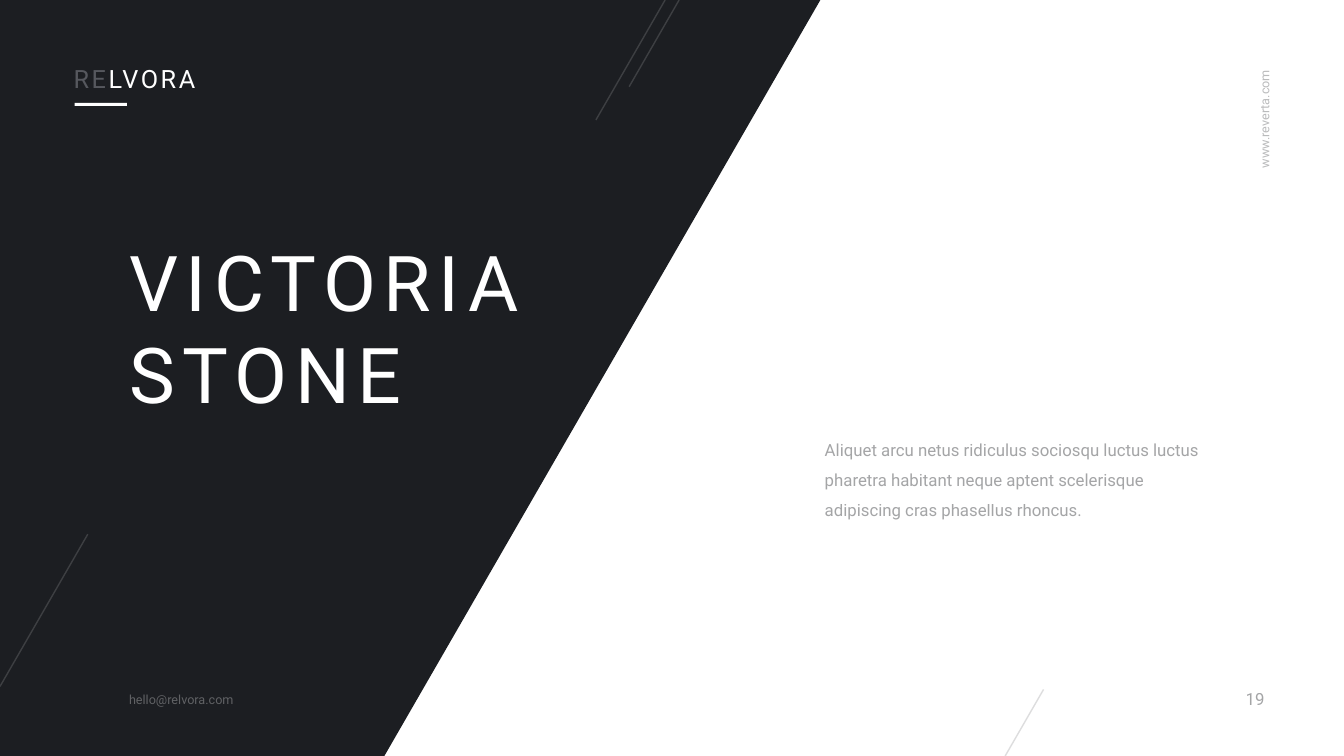
from lxml import etree
from pptx import Presentation
from pptx.dml.color import RGBColor
from pptx.enum.shapes import MSO_CONNECTOR, MSO_SHAPE
from pptx.enum.text import MSO_ANCHOR, MSO_AUTO_SIZE, PP_ALIGN
from pptx.oxml.ns import qn
from pptx.util import Inches, Pt

LEFT, RIGHT = PP_ALIGN.LEFT, PP_ALIGN.RIGHT
TOP, MIDDLE, BOTTOM = MSO_ANCHOR.TOP, MSO_ANCHOR.MIDDLE, MSO_ANCHOR.BOTTOM
FIXED = MSO_AUTO_SIZE.NONE
STRAIGHT = MSO_CONNECTOR.STRAIGHT
RECT = MSO_SHAPE.RECTANGLE

WIDTH, HEIGHT = Inches(13.33), Inches(7.5)
COLORS = {"ink": "1C1E22", "white": "FFFFFF", "gray": "56585E"}
FONT = "Roboto"
FOOT, HEAD = 28.6, 61.04
SLOPE = (HEAD - FOOT) / 100


class Page:
    def __init__(self, slide):
        self.slide = slide
        self.shapes = slide.shapes

    def grid(self, x, y):
        return round(WIDTH * x / 100), round(HEIGHT * y / 100)

    def paint(self, fill, color, alpha=100):
        fill.solid()
        fill.fore_color.rgb = RGBColor.from_string(COLORS[color])
        if alpha < 100:
            tint = fill._xPr.find(".//" + qn("a:srgbClr"))
            etree.SubElement(tint, qn("a:alpha")).set("val", str(alpha * 1000))

    def finish(self, shape):
        self.paint(shape.fill, "white" if shape.height < Inches(1) else "ink")
        shape.line.fill.background()
        shape.shadow.inherit = False

    def panel(self, points):
        spots = [self.grid(*point) for point in points]
        form = self.shapes.build_freeform(*spots[0])
        form.add_line_segments(spots[1:], close=True)
        self.finish(form.convert_to_shape())

    def bar(self, x, y, wide, high):
        self.finish(self.shapes.add_shape(RECT, *self.grid(x, y), *self.grid(wide, high)))

    def slant(self, x, y, rise, color):
        start, end = self.grid(x, y), self.grid(x + rise * SLOPE, y - rise)
        line = self.shapes.add_connector(STRAIGHT, *start, *end)
        line.line.width = Pt(1)
        self.paint(line.line.fill, color, 15)
        etree.SubElement(line._element.spPr, qn("a:effectLst"))

    def text(self, box, lines, size, align=LEFT, anchor=TOP, wrap=False,
             track=0, lead=1.0, inset=(0.03, 0.03), turn=0, shape=None):
        x, y, wide, high = box
        shape = shape or self.shapes.add_textbox(0, 0, 0, 0)
        shape.left, shape.top = self.grid(x, y)
        shape.width, shape.height = self.grid(wide, high)
        shape.rotation = turn
        frame = shape.text_frame
        frame.auto_size, frame.word_wrap = FIXED, wrap
        frame.vertical_anchor = anchor
        frame.margin_left = frame.margin_right = Inches(inset[0])
        frame.margin_top = frame.margin_bottom = Inches(inset[1])
        for i, runs in enumerate(lines):
            para = frame.add_paragraph() if i else frame.paragraphs[0]
            para.alignment, para.line_spacing = align, lead
            para.space_before = Pt(0)
            if shape.is_placeholder:
                props = para._p.get_or_add_pPr()
                props.set("marL", "0")
                props.set("indent", "0")
                etree.SubElement(props, qn("a:buNone"))
            for words, color, alpha in runs:
                run = para.add_run()
                run.text = words
                run.font.name, run.font.size = FONT, Pt(size)
                self.paint(run.font.fill, color, alpha)
                if track:
                    run.font._element.set("spc", str(track))


def main():
    deck = Presentation()
    deck.slide_width, deck.slide_height = WIDTH, HEIGHT
    page = Page(deck.slides.add_slide(deck.slide_layouts[1]))
    title, body = page.slide.placeholders

    page.panel([(FOOT, 100), (HEAD, 0), (0, 0), (0, 100)])
    for holder in (title, body):
        page.shapes._spTree.append(holder._element)

    page.text((9.38, 30.4, 30.08, 25.47),
              [[("VICTORIA", "white", 100)], [("STONE", "white", 100)]],
              55, anchor=BOTTOM, track=550, shape=title)
    page.text((61.14, 56.4, 28.66, 12.8),
              [[("Aliquet arcu netus ridiculus sociosqu luctus luctus pharetra "
                 "habitant neque aptent scelerisque adipiscing cras phasellus "
                 "rhoncus.", "ink", 40)]],
              12, wrap=True, lead=1.5, shape=body)
    page.text((91, 90.4, 3.83, 4.13), [[("19", "ink", 40)]], 12,
              align=RIGHT, wrap=True, inset=(0.1, 0.05))
    page.text((90.17, 14.4, 7.8, 2.8), [[("www.reverta.com", "ink", 30)]], 9,
              align=RIGHT, turn=270)
    page.text((9.38, 91.07, 8.33, 2.8), [[("hello@relvora.com", "white", 30)]], 9)
    page.text((5.25, 8, 10.05, 4.8),
              [[("RE", "gray", 100), ("LVORA", "white", 100)]],
              18, anchor=MIDDLE, track=180)
    page.bar(5.55, 13.6, 3.9, 0.4)

    for x, y, rise, color in [(74.79, 100, 8.8, "ink"), (44.34, 15.87, 15.87, "white"),
                              (46.81, 11.47, 11.47, "white"), (0, 90.8, 20.13, "white")]:
        page.slant(x, y, rise, color)

    deck.save("out.pptx")


if __name__ == "__main__":
    main()
